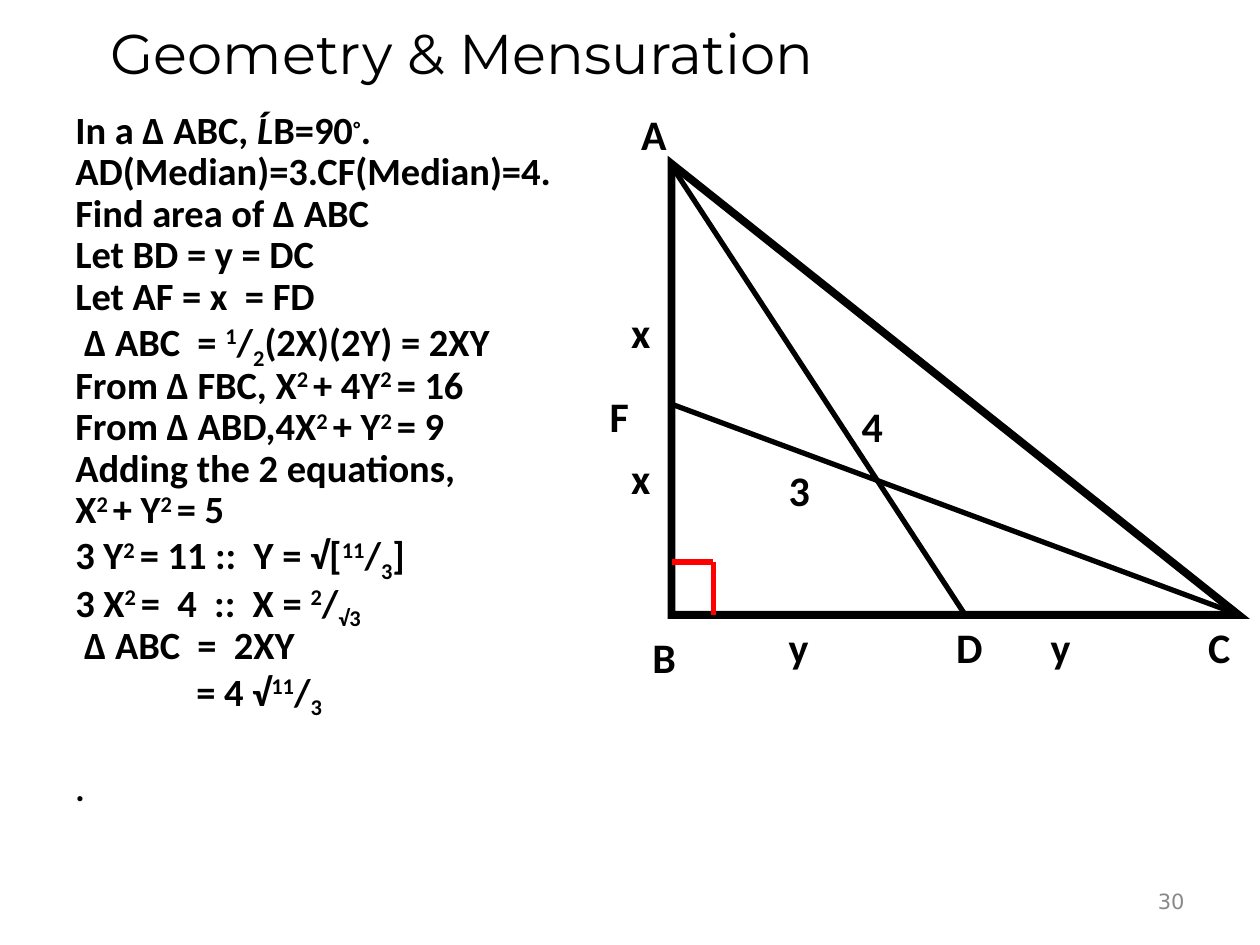
"""Build the Geometry & Mensuration slide: a worked solution beside its triangle."""
from lxml import etree
from pptx import Presentation
from pptx import util as u
from pptx.dml.color import RGBColor
from pptx.enum import shapes, text
from pptx.oxml.ns import qn


def box(x, y, w, h, anchor=text.MSO_ANCHOR.TOP):
    frame = slide.shapes.add_textbox(*map(u.Inches, (x, y, w, h))).text_frame
    frame.word_wrap = True
    frame.vertical_anchor = anchor
    return frame


def write(para, words, size, face="Calibri", color="000000", bold=True):
    run = para.add_run()
    run.text = words
    font = run.font
    font.size, font.name, font.bold = u.Pt(size), face, bold
    font.color.rgb = RGBColor.from_string(color)
    return run


deck = Presentation()
deck.slide_width, deck.slide_height = u.Inches(10), u.Inches(7.5)
slide = deck.slides.add_slide(deck.slide_layouts[6])

title = box(0.5, 0.08, 6.34, 0.67, text.MSO_ANCHOR.MIDDLE).paragraphs[0]
title.alignment = text.PP_ALIGN.CENTER
write(title, "Geometry & Mensuration", 32, "Montserrat", bold=False)

steps = [
    (0, ["In a ∆ ABC, ", "*Ĺ", "B=90", "^◦", ". AD(Median)=3.CF(Median)=4."]),
    (0, ["Find area of ∆ ABC"]),
    (0, ["Let BD = y = DC"]),
    (0, ["Let AF = x  = FD"]),
    (0.07, ["∆ ABC  = ", "^1", "/", "_2", "(2X)(2Y) = 2XY"]),
    (0, ["From ∆ FBC, X", "^2 ", "+ 4Y", "^2 ", "= 16"]),
    (0, ["From ∆ ABD,4X", "^2 ", "+ Y", "^2 ", "= 9"]),
    (0, ["Adding the 2 equations,"]),
    (0, ["X", "^2 ", "+ Y", "^2 ", "= 5"]),
    (0, ["3 Y", "^2 ", "= 11 ::  Y = √[", "^11", "/", "_3", "]"]),
    (0, ["3 X", "^2 ", "=  4  ::  X = ", "^2", "/", "_√3"]),
    (0.07, ["∆ ABC  =  2XY"]),
    (0.96, ["= 4 √", "^11", "/", "_3"]),
]
shift = {"^": "30000", "_": "-25000"}
body = box(0.5, 0.83, 4.34, 5.89)
for i, (left, parts) in enumerate(steps):
    para = body.add_paragraph() if i else body.paragraphs[0]
    para.line_spacing = 0.9
    para._p.get_or_add_pPr().set("marL", str(u.Inches(left)))
    for part in parts:
        mark = part[0]
        run = write(para, part.lstrip("^_*"), 22)
        if mark in shift:
            run.font._element.set("baseline", shift[mark])
        elif mark == "*":
            run.font.italic = True
para = body.add_paragraph()
para.line_spacing = 0.9
para.space_before = u.Pt(32)
write(para, ".", 20)

tri = slide.shapes.add_shape(
    shapes.MSO_SHAPE.RIGHT_TRIANGLE, *map(u.Inches, (5.33, 1.3, 4.5, 3.58)))
tri.shadow.inherit = False
tri.fill.background()
tri.line.color.rgb = RGBColor.from_string("000000")
tri.line.width = u.Pt(4.5)
edge = tri._element.spPr.find(qn("a:ln"))
etree.SubElement(edge, qn("a:miter")).set("lim", "800000")

lines = [
    (5.32, 1.3, 7.66, 4.88, "000000"),
    (5.31, 3.2, 9.81, 4.87, "000000"),
    (5.33, 4.46, 5.66, 4.46, "FF0000"),
    (5.66, 4.46, 5.66, 4.88, "FF0000"),
]
for *ends, color in lines:
    line = slide.shapes.add_connector(
        shapes.MSO_CONNECTOR.STRAIGHT, *map(u.Inches, ends))
    line.line.color.rgb = RGBColor.from_string(color)
    line.line.width = u.Pt(3)
    etree.SubElement(line._element.spPr, qn("a:effectLst"))

labels = [
    ("A", 4.99, 0.81), ("4", 6.74, 3.13), ("3", 6.16, 3.64),
    ("B", 5.08, 4.96), ("D", 7.49, 4.88), ("C", 9.49, 4.88),
    ("F", 4.74, 3.05), ("x", 4.91, 2.38), ("x", 4.91, 3.54),
    ("y", 6.16, 4.88), ("y", 8.24, 4.88),
]
for name, x, y in labels:
    write(box(x, y, 0.58, 0.5).paragraphs[0], name, 24)

page = box(7.17, 6.95, 2.33, 0.4, text.MSO_ANCHOR.MIDDLE).paragraphs[0]
page.alignment = text.PP_ALIGN.RIGHT
write(page, "30", 12, "DejaVu Sans", "898989", bold=False)

deck.save("out.pptx")
